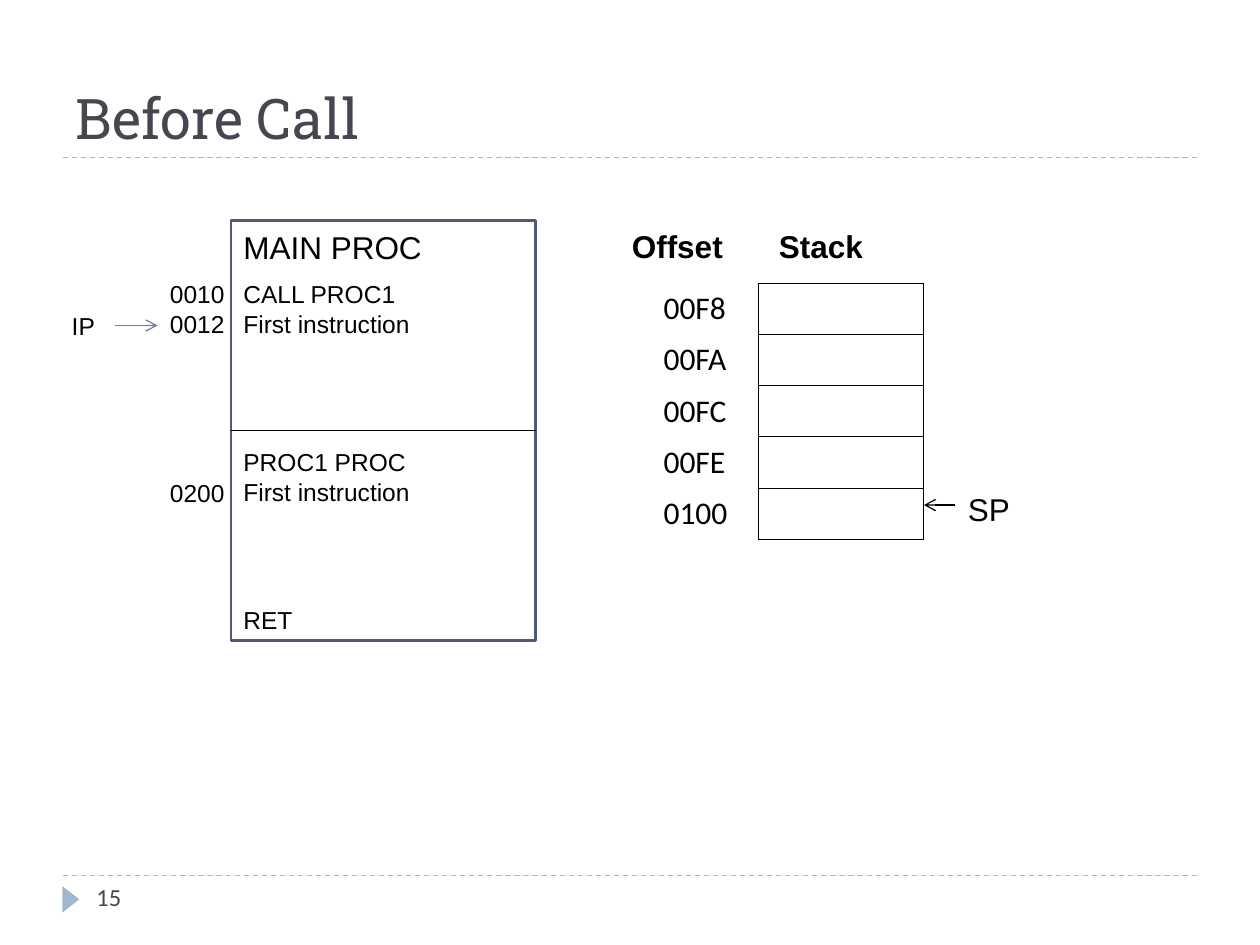
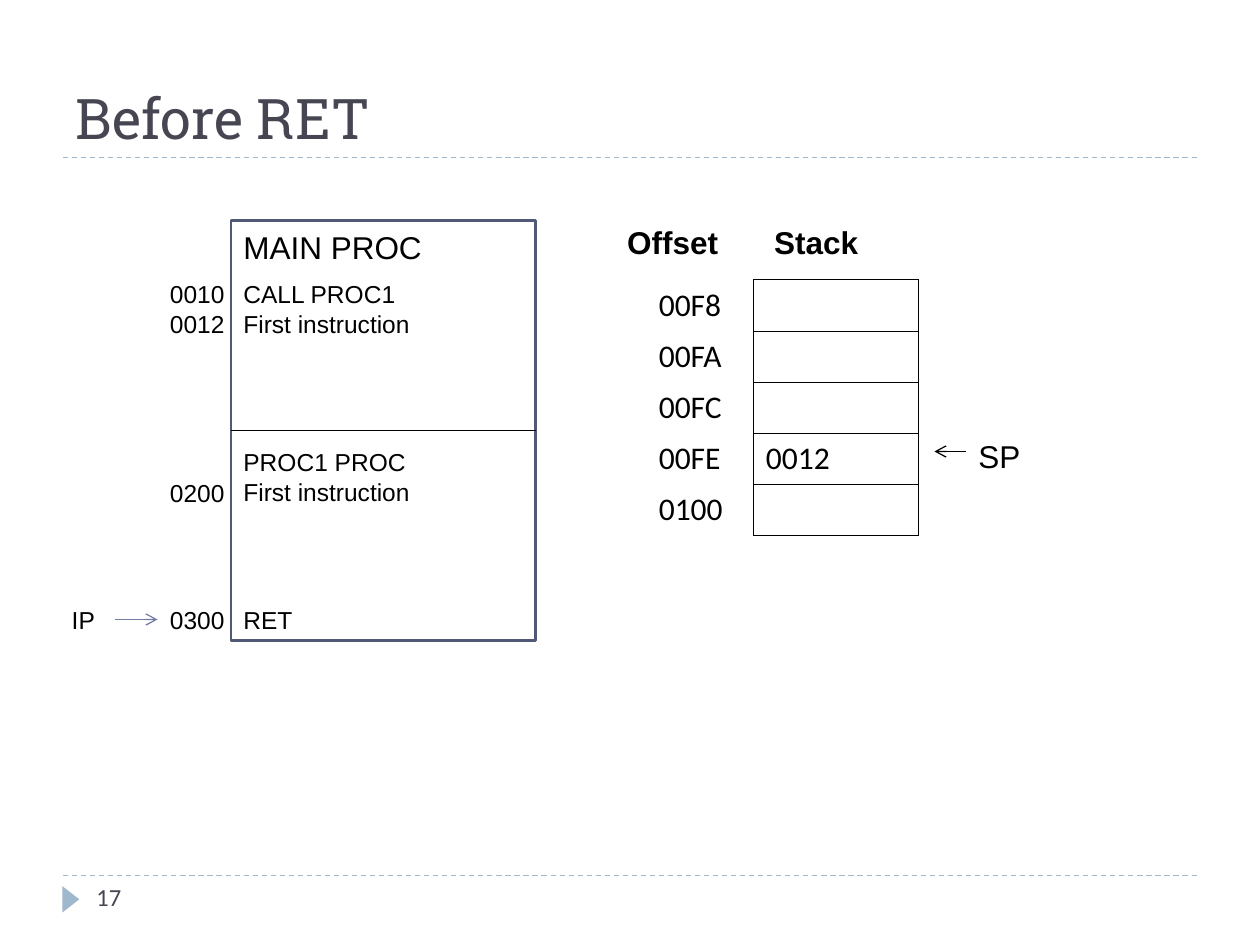
from lxml.etree import SubElement
from pptx import Presentation
from pptx.dml.color import RGBColor
from pptx.enum.dml import MSO_LINE_DASH_STYLE as Dash
from pptx.enum.shapes import MSO_CONNECTOR, MSO_SHAPE
from pptx.enum.text import MSO_ANCHOR, PP_ALIGN
from pptx.oxml.ns import qn
from pptx.util import Inches, Pt

# Content: positions are in grid units of a twelfth of an inch
CODE = [  # (column, row, width, size, lines)
    (22, 21.1, 23, 18, ["MAIN PROC"]),
    (22, 26, 25, 14, ["CALL PROC1", "First instruction"]),
    (22, 42, 25, 14, ["PROC1 PROC", "First instruction"]),
    (22, 57, 12, 14, ["RET"]),
    (15, 26, 10, 14, ["0010", "0012"]),
    (15, 44.9, 10, 14, ["0200"]),
]
OFFSETS = ["00F8", "00FA", "00FC", "00FE", "0100"]
SLIDES = [
    dict(title="Before Call", number="15", extra=[], ip_row=31,
         stack=(62, 27), values={}, sp=(91, 48.1)),
    dict(title="Before RET", number="17",
         extra=[(15, 57, 10, 14, ["0300"])], ip_row=59,
         stack=(61.55, 26.65), values={"00FE": "0012"}, sp=(92, 43)),
]

# Shared style
COLORS = dict(title="464653", rule="9FB8CD", frame="525977",
              pointer="727CA3", ink="000000", paper="FFFFFF")
TITLE_FONT, CODE_FONT, BODY_FONT = "Roboto Slab", "Arial", "Calibri"
UNIT = Inches(1) / 12
WIDTH, HEIGHT = 120, 90
MARGIN = 6
TITLE_RULE, FOOTER_RULE = 15, 83.4
FRAME = (22, 21, 29, 40)
OFFSET_WIDTH, VALUE_WIDTH, ROW_HEIGHT = 10.2, 15.75, 4.87


def grid(*lengths):
    return [round(length * UNIT) for length in lengths]


def color(name):
    return RGBColor.from_string(COLORS[name])


def write(text_frame, lines, size=14, font=CODE_FONT, ink="ink", bold=False):
    for index, line in enumerate(lines):
        para = text_frame.paragraphs[0] if index == 0 else text_frame.add_paragraph()
        para.alignment = PP_ALIGN.LEFT
        span = para.add_run()
        span.text = line
        span.font.size = Pt(size)
        span.font.name = font
        span.font.bold = bold
        span.font.color.rgb = color(ink)


def add_text(page, column, row, width, lines, size=14, **style):
    height = 4.8 if size == 18 else 1.2 + 2.85 * len(lines)
    box = page.shapes.add_textbox(*grid(column, row, width, height))
    box.text_frame.word_wrap = True
    write(box.text_frame, lines, size, **style)


def add_line(page, start, end, ink, dashed=False, arrow=False):
    line = page.shapes.add_connector(MSO_CONNECTOR.STRAIGHT, *grid(*start, *end))
    line.line.color.rgb = color(ink)
    line.line.width = Pt(0.75)
    if dashed:
        line.line.dash_style = Dash.DASH
    if arrow:
        SubElement(line.line._get_or_add_ln(), qn("a:tailEnd"), type="arrow")
    SubElement(line._element.spPr, qn("a:effectLst"))


def add_preset(page, preset, place, fill, outline=None):
    shape = page.shapes.add_shape(preset, *grid(*place))
    shape.shadow.inherit = False
    shape.fill.solid()
    shape.fill.fore_color.rgb = color(fill)
    if outline:
        shape.line.color.rgb = color(outline)
        shape.line.width = Pt(1.5)
    else:
        shape.line.fill.background()
    return shape


def set_borders(cell, drawn):
    properties = cell._tc.get_or_add_tcPr()
    for position, side in enumerate("LRTB"):
        border = properties.makeelement(qn(f"a:ln{side}"), {"w": str(Pt(0.45))})
        properties.insert(position, border)
        if side in drawn:
            fill = SubElement(border, qn("a:solidFill"))
            SubElement(fill, qn("a:srgbClr"), val=COLORS["ink"])
        else:
            SubElement(border, qn("a:noFill"))


def add_base(page, title, number):
    heading = page.shapes.title
    heading.left, heading.top, heading.width, heading.height = grid(
        MARGIN, 2, WIDTH - 2 * MARGIN, TITLE_RULE - 2)
    heading.text_frame.vertical_anchor = MSO_ANCHOR.BOTTOM
    write(heading.text_frame, [title], 32, font=TITLE_FONT, ink="title")
    for row in (FOOTER_RULE, TITLE_RULE):
        add_line(page, (MARGIN, row), (WIDTH - MARGIN, row), "rule", dashed=True)
    marker = add_preset(page, MSO_SHAPE.ISOSCELES_TRIANGLE, (5.5, 84.85, 2.5, 1.6), "rule")
    marker.rotation = 90
    add_text(page, 8, FOOTER_RULE, 26, [number], font=BODY_FONT, ink="title")


def add_program(page, extra, ip_row):
    left, top, width, height = FRAME
    middle = top + height / 2
    add_preset(page, MSO_SHAPE.RECTANGLE, FRAME, "paper", "frame")
    add_line(page, (left, middle), (left + width, middle), "ink")
    for column, row, text_width, size, lines in CODE + extra:
        add_text(page, column, row, text_width, lines, size)
    # Instruction pointer
    add_line(page, (11, ip_row), (15, ip_row), "pointer", arrow=True)
    add_text(page, 5.65, ip_row - 2, 5.75, ["IP"])


def add_stack(page, stack, values, sp):
    left, top = stack
    for column, label in ((left - 3, "Offset"), (left + 11, "Stack")):
        add_text(page, column, top - 6, 12, [label], 18, bold=True)
    table = page.shapes.add_table(len(OFFSETS), 2, *grid(
        left, top, OFFSET_WIDTH + VALUE_WIDTH, ROW_HEIGHT * len(OFFSETS))).table
    table.first_row = table.horz_banding = False
    for column, width in zip(table.columns, grid(OFFSET_WIDTH, VALUE_WIDTH)):
        column.width = width
    for row, offset in enumerate(OFFSETS):
        for column, (text, borders) in enumerate(
                ((offset, "R"), (values.get(offset), "LRTB"))):
            cell = table.cell(row, column)
            cell.fill.background()
            set_borders(cell, borders)
            if text:
                write(cell.text_frame, [text], 18, font=BODY_FONT)
    # Stack pointer
    column, row = sp
    add_line(page, (column, row), (column - 3, row), "ink", arrow=True)
    add_text(page, column, row - 2, 7, ["SP"], 18)


def main():
    deck = Presentation()
    deck.slide_width, deck.slide_height = grid(WIDTH, HEIGHT)
    for content in SLIDES:
        page = deck.slides.add_slide(deck.slide_layouts[5])
        add_base(page, content["title"], content["number"])
        add_program(page, content["extra"], content["ip_row"])
        add_stack(page, content["stack"], content["values"], content["sp"])
    deck.save("out.pptx")


if __name__ == "__main__":
    main()
